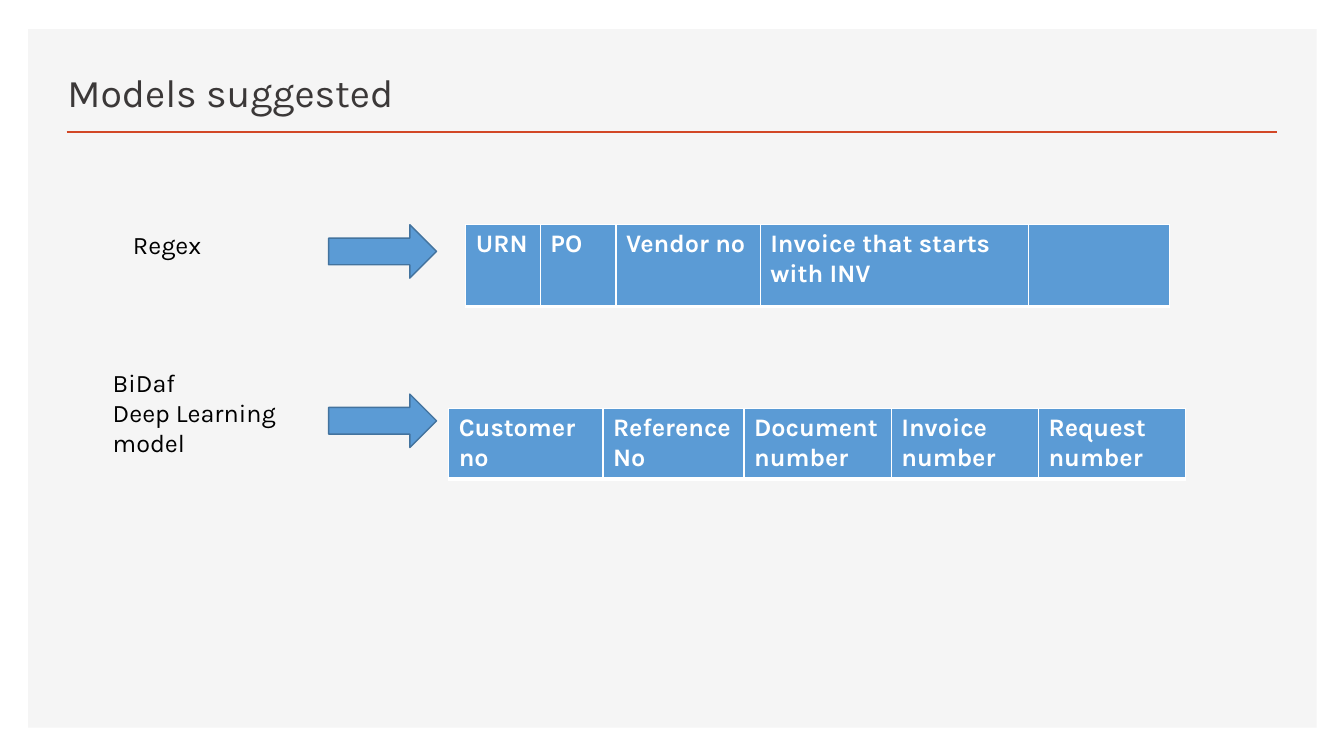
from pptx import Presentation
from pptx.dml.color import RGBColor
from pptx.enum.shapes import MSO_CONNECTOR as Link, MSO_SHAPE as Shape
from pptx.enum.text import MSO_ANCHOR as Anchor
from pptx.oxml import parse_xml
from pptx.oxml.ns import nsdecls
from pptx.util import Inches, Pt

FONT = "Karla"
BLUE, EDGE, WHITE, BLACK = "5B9BD5", "43739E", "FFFFFF", "000000"
PANEL, RED, GREY = "F5F5F5", "D24726", "3B3838"


def color(code):
    return RGBColor.from_string(code)


def place(box):
    return [Inches(n) for n in box]


def write(frame, lines, size, ink, bold=False):
    frame.word_wrap = True
    for i, line in enumerate(lines):
        para = frame.paragraphs[0] if i == 0 else frame.add_paragraph()
        para.text = line
        font = para.font
        font.name, font.size, font.bold = FONT, Pt(size), bold
        font.color.rgb = color(ink)


def add_text(slide, box, lines, size, ink, anchor=Anchor.TOP):
    frame = slide.shapes.add_textbox(*place(box)).text_frame
    write(frame, lines, size, ink)
    frame.vertical_anchor = anchor


def add_block(slide, kind, box, fill, edge=None):
    block = slide.shapes.add_shape(kind, *place(box))
    block.shadow.inherit = False
    block.fill.solid()
    block.fill.fore_color.rgb = color(fill)
    if edge:
        block.line.color.rgb = color(edge)
        block.line.width = Pt(1)
    else:
        block.line.fill.background()


def set_edges(cell):
    # Borders precede the fill in the cell properties
    props = cell._tc.get_or_add_tcPr()
    for i, (side, width) in enumerate(zip("LRTB", (1, 1, 1, 3))):
        props.insert(i, parse_xml(
            f'<a:ln{side} {nsdecls("a")} w="{Pt(width)}"><a:solidFill>'
            f'<a:srgbClr val="{WHITE}"/></a:solidFill></a:ln{side}>'))


def add_fields(slide, left, top, height, fields):
    widths = [width for _, width in fields]
    box = (left, top, sum(widths), height)
    table = slide.shapes.add_table(1, len(fields), *place(box)).table
    for i, (name, width) in enumerate(fields):
        table.columns[i].width = Inches(width)
        cell = table.cell(0, i)
        cell.fill.solid()
        cell.fill.fore_color.rgb = color(BLUE)
        write(cell.text_frame, [name], 18, WHITE, True)
        set_edges(cell)


def add_header(slide, left, top, width, height):
    # Panel, title and rule
    add_block(slide, Shape.RECTANGLE, (left, top, width, height), PANEL)
    add_text(slide, (left + 0.29, top + 0.2, 7.52, 0.7),
             ["Models suggested"], 28, GREY, Anchor.BOTTOM)
    ends = (left + 0.38, top + 1.02, left + width - 0.39, top + 1.02)
    rule = slide.shapes.add_connector(Link.STRAIGHT, *place(ends))
    rule.line.color.rgb = color(RED)
    rule.line.width = Pt(2)
    rule._element.spPr.append(parse_xml(f'<a:effectLst {nsdecls("a")}/>'))


def add_model(slide, left, top, label, lines, grid, fields):
    # Label, arrow and extracted fields; left and top are the arrow's
    x, y, width, height = label
    add_text(slide, (left + x, top + y, width, height), lines, 18, BLACK)
    add_block(slide, Shape.RIGHT_ARROW, (left, top, 1.07, 0.53), BLUE, EDGE)
    x, y, height = grid
    add_fields(slide, left + x, top + y, height, fields)


deck = Presentation()
deck.slide_width, deck.slide_height = Inches(13.33), Inches(7.5)
slide = deck.slides.add_slide(deck.slide_layouts[6])

add_header(slide, 0.28, 0.29, 12.78, 6.93)
add_model(slide, 3.26, 2.23, (-2.04, 0, 1.03, 0.4), ["Regex"],
          (1.36, 0, 0.81),
          [("URN", 0.74), ("PO", 0.75), ("Vendor no", 1.43),
           ("Invoice that starts with INV", 2.66), ("", 1.4)])
add_model(slide, 3.26, 3.91, (-2.24, -0.32, 1.97, 1.01),
          ["BiDaf", "Deep Learning model"], (1.19, 0.14, 0.7),
          [("Customer no", 1.53), ("Reference No", 1.4),
           ("Document number", 1.46), ("Invoice number", 1.46),
           ("Request number", 1.46)])

deck.save("out.pptx")
